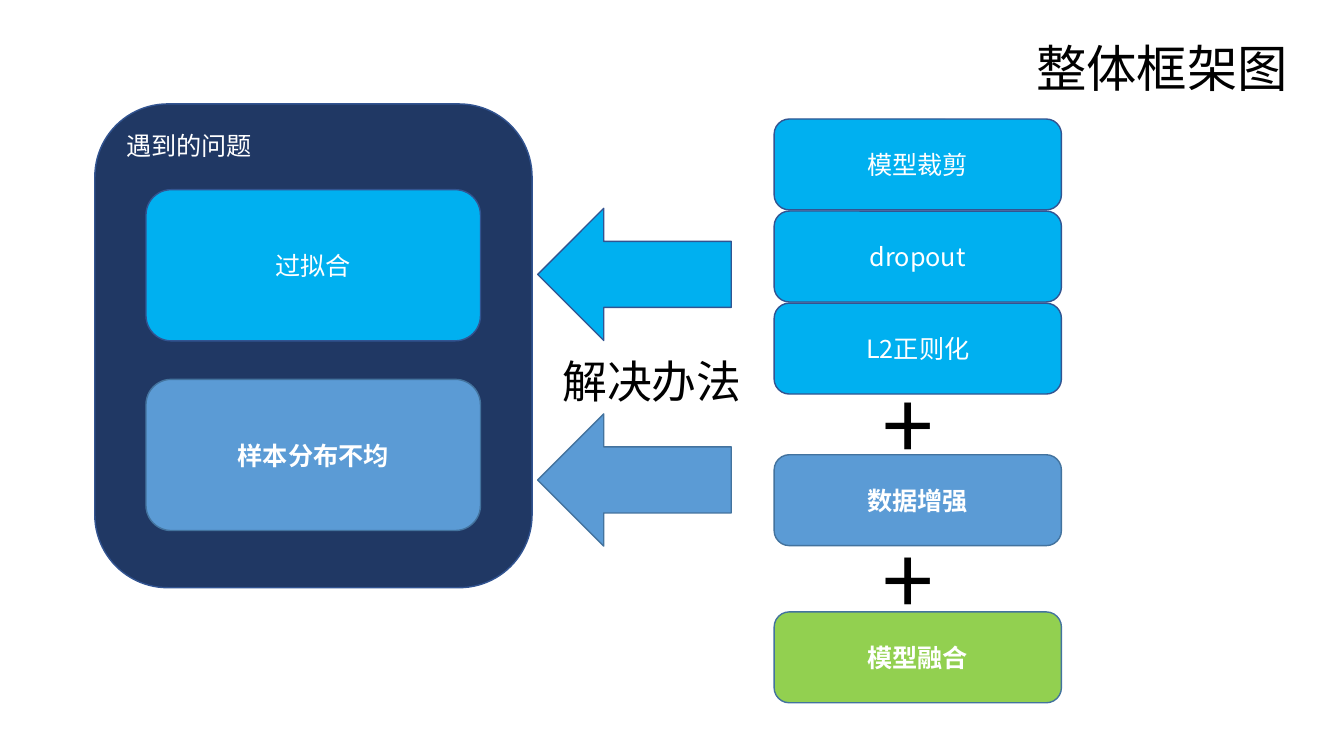
from dataclasses import dataclass

from lxml import etree
from pptx import Presentation
from pptx.dml.color import RGBColor
from pptx.enum.shapes import MSO_SHAPE
from pptx.enum.text import MSO_ANCHOR, MSO_AUTO_SIZE, PP_ALIGN
from pptx.oxml.ns import qn
from pptx.util import Cm, Pt

ROUNDED, LEFT_ARROW = MSO_SHAPE.ROUNDED_RECTANGLE, MSO_SHAPE.LEFT_ARROW
TOP, MIDDLE = MSO_ANCHOR.TOP, MSO_ANCHOR.MIDDLE
LEFT, CENTER = PP_ALIGN.LEFT, PP_ALIGN.CENTER
GROW = MSO_AUTO_SIZE.SHAPE_TO_FIT_TEXT


@dataclass(frozen=True)
class Theme:
    font: str = "Noto Sans CJK SC"
    title: int = 36
    caption: int = 32
    plus: int = 66
    body: int = 18
    text: str = "000000"
    light: str = "FFFFFF"
    # Each style is a fill and an outline
    navy: tuple = ("203864", "325491")
    cyan: tuple = ("00B0F0", "325491")
    blue: tuple = ("5B9BD5", "43739E")
    green: tuple = ("92D050", "43739E")


THEME = Theme()

# Content: label, style, bold
TITLE = "整体框架图"
PANEL_LABEL = "遇到的问题"
CAPTION = "解决办法"
PROBLEMS = [
    ("过拟合", THEME.cyan, False),
    ("样本分布不均", THEME.blue, True),
]
METHOD_GROUPS = [
    [
        ("模型裁剪", THEME.cyan, False),
        ("dropout", THEME.cyan, False),
        ("L2正则化", THEME.cyan, False),
    ],
    [("数据增强", THEME.blue, True)],
    [("模型融合", THEME.green, True)],
]

# Layout in centimetres
PANEL = (2.39, 2.62, 11.02, 12.19)
TITLE_BOX = (25.86, 0.81, 8, 1.8)
CAPTION_BOX = (13.92, 8.79, 5.61, 1.63)
PROBLEM_LEFT, PROBLEM_TOP, PROBLEM_STEP = 3.68, 4.78, 4.78
PROBLEM_SIZE = (8.43, 3.81)
ARROW_LEFT, ARROW_TOP, ARROW_STEP = 13.55, 5.25, 5.18
ARROW_SIZE = (4.88, 3.33)
METHOD_LEFT, METHOD_STEP = 19.51, 2.32
METHOD_WIDTH, METHOD_HEIGHT = 7.24, 2.29
GROUP_TOPS = [3, 11.46, 15.42]
PLUS_LEFT, PLUS_WIDTH, PLUS_HEIGHT = 22, 2.26, 3.07


def write(box, text, size, color, bold=False, align=LEFT, anchor=TOP):
    frame = box.text_frame
    frame.word_wrap = True
    frame.vertical_anchor = anchor
    para = frame.paragraphs[0]
    para.text = text
    para.alignment = align
    font = para.font
    font.name, font.size, font.bold = THEME.font, Pt(size), bold
    font.color.rgb = RGBColor.from_string(color)
    # East Asian glyphs take their typeface from a separate element
    latin = para._p.pPr.find(qn("a:defRPr")).find(qn("a:latin"))
    east_asian = etree.Element(qn("a:ea"), typeface=THEME.font)
    latin.addnext(east_asian)


def add_block(page, kind, bounds, style):
    block = page.shapes.add_shape(kind, *map(Cm, bounds))
    block.shadow.inherit = False
    fill, outline = style
    block.fill.solid()
    block.fill.fore_color.rgb = RGBColor.from_string(fill)
    block.line.color.rgb = RGBColor.from_string(outline)
    block.line.width = Pt(1)
    return block


def add_card(page, bounds, card):
    label, style, bold = card
    block = add_block(page, ROUNDED, bounds, style)
    write(block, label, THEME.body, THEME.light, bold, CENTER, MIDDLE)


def add_text(page, bounds, text, size):
    box = page.shapes.add_textbox(*map(Cm, bounds))
    write(box, text, size, THEME.text)
    box.text_frame.auto_size = GROW


def add_problems(page):
    panel = add_block(page, ROUNDED, PANEL, THEME.navy)
    write(panel, PANEL_LABEL, THEME.body, THEME.light)
    for index, problem in enumerate(PROBLEMS):
        top = PROBLEM_TOP + index * PROBLEM_STEP
        add_card(page, (PROBLEM_LEFT, top, *PROBLEM_SIZE), problem)
        arrow_top = ARROW_TOP + index * ARROW_STEP
        add_block(page, LEFT_ARROW, (ARROW_LEFT, arrow_top, *ARROW_SIZE), problem[1])


def add_methods(page):
    """Stack the method groups, with a plus sign centred in each gap."""
    bottom = None
    for group_top, group in zip(GROUP_TOPS, METHOD_GROUPS):
        if bottom is not None:
            plus_top = (bottom + group_top - PLUS_HEIGHT) / 2
            add_text(page, (PLUS_LEFT, plus_top, PLUS_WIDTH, PLUS_HEIGHT), "+", THEME.plus)
        for index, method in enumerate(group):
            top = group_top + index * METHOD_STEP
            add_card(page, (METHOD_LEFT, top, METHOD_WIDTH, METHOD_HEIGHT), method)
            bottom = top + METHOD_HEIGHT


def main():
    deck = Presentation()
    deck.slide_width, deck.slide_height = Cm(33.87), Cm(19.05)
    page = deck.slides.add_slide(deck.slide_layouts[6])
    add_problems(page)
    add_methods(page)
    add_text(page, TITLE_BOX, TITLE, THEME.title)
    add_text(page, CAPTION_BOX, CAPTION, THEME.caption)
    deck.save("out.pptx")


if __name__ == "__main__":
    main()
